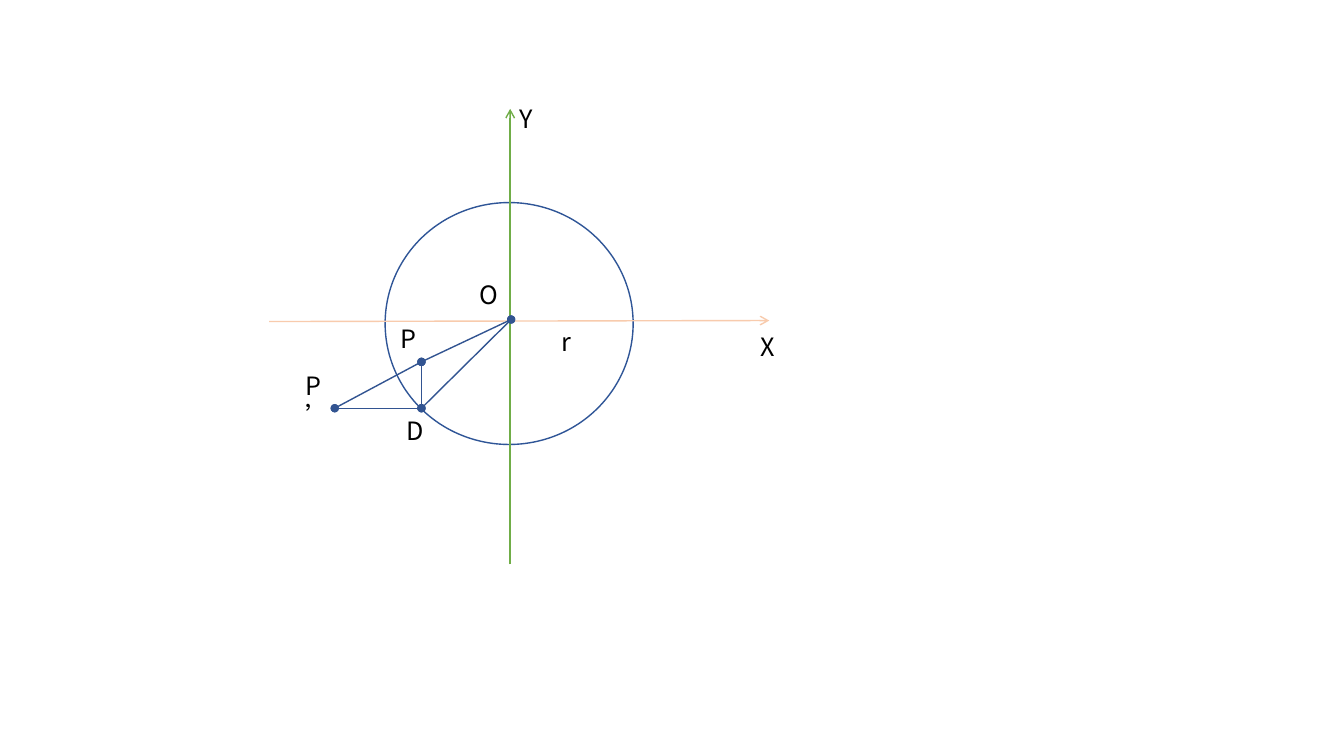
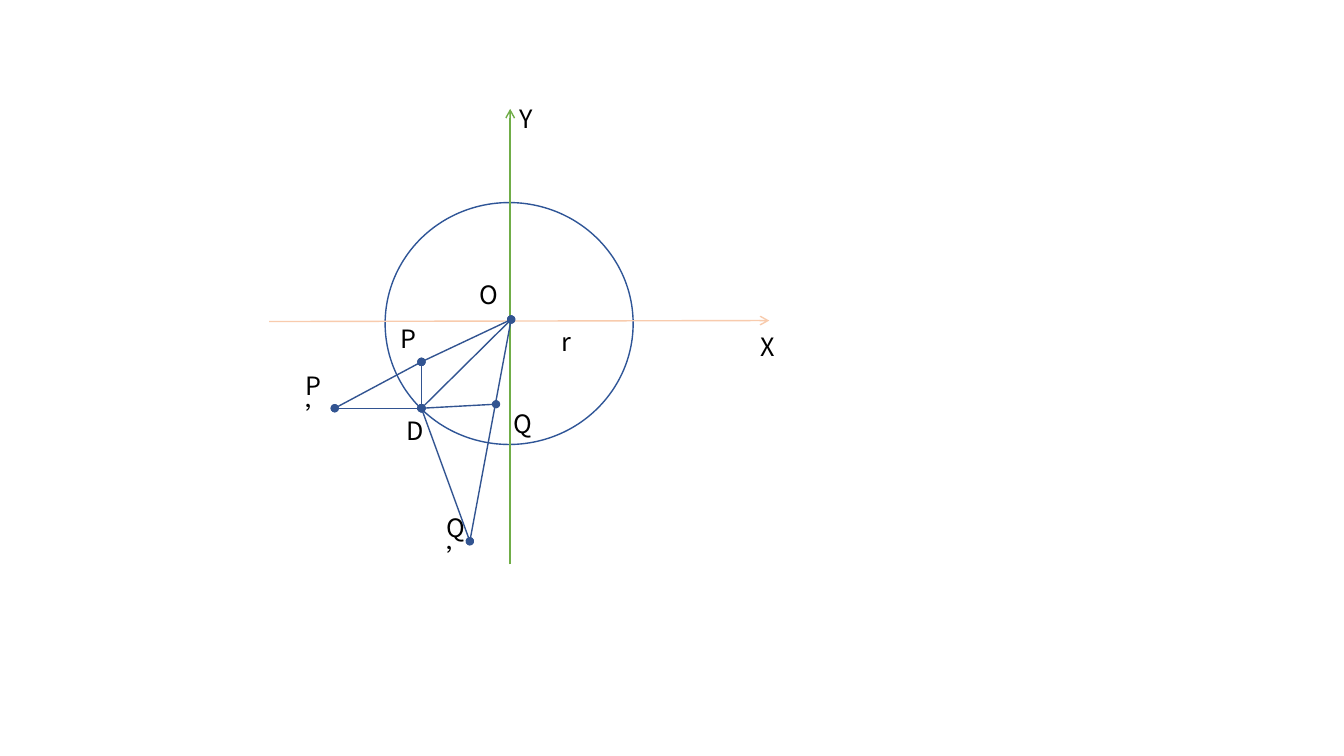
from dataclasses import dataclass

from pptx import Presentation
from pptx.dml.color import RGBColor
from pptx.enum.shapes import MSO_CONNECTOR, MSO_SHAPE
from pptx.enum.text import MSO_AUTO_SIZE
from pptx.oxml.ns import qn
from pptx.util import Pt
from lxml.etree import SubElement


@dataclass(frozen=True)
class Theme:
    font: str = "Noto Sans CJK SC"
    size: int = 18
    line: int = 1
    ink: str = "000000"
    ring: str = "2F5597"
    edge: str = "325491"
    across: str = "F8CBAD"
    up: str = "70AD47"


THEME = Theme()
PX = 9144
WIDE, HIGH = 1333, 750
SMALL, LARGE, TALL = 26, 32, 40

RING = (382, 201, 246, 240)
AXES = [
    ((267, 319), (763, 318), THEME.across),
    ((506, 560), (506, 108), THEME.up),
]
POINTS = {
    "O": (507, 317),
    "P": (418, 359),
    "P’": (332, 405),
    "D": (418, 405),
    "Q": (492, 401),
    "Q’": (466, 537),
}
BASE = {
    "labels": [
        ("O", 466, 272, SMALL),
        ("Y", 505, 98, SMALL),
        ("X", 744, 324, SMALL),
        ("r", 547, 319, SMALL),
        ("D", 393, 407, LARGE),
        ("P’", 293, 362, LARGE),
        ("P", 387, 316, LARGE),
    ],
    "edges": [("O", "P"), ("P", "P’"), ("D", "P’"), ("D", "O"), ("D", "P")],
}
EXTRA = {
    "labels": [("Q", 499, 400, LARGE), ("Q’", 433, 503, LARGE)],
    "edges": [("O", "Q’"), ("D", "Q"), ("D", "Q’")],
}
SLIDES = [[BASE], [BASE, EXTRA]]


def px(*nums):
    return [num * PX for num in nums]


def stroke(line, color):
    line.color.rgb = RGBColor.from_string(color)
    line.width = Pt(THEME.line)


def join(slide, start, end, color, head=None, tail=None):
    link = slide.shapes.add_connector(MSO_CONNECTOR.STRAIGHT, *px(*start, *end))
    stroke(link.line, color)
    props = link._element.spPr
    for tag, kind in (("a:headEnd", head), ("a:tailEnd", tail)):
        if kind:
            SubElement(props.find(qn("a:ln")), qn(tag), type=kind)
    SubElement(props, qn("a:effectLst"))


def write(slide, text, left, top, width, size=THEME.size, color=THEME.ink):
    frame = slide.shapes.add_textbox(*px(left, top, width, TALL)).text_frame
    frame.word_wrap = True
    frame.auto_size = MSO_AUTO_SIZE.SHAPE_TO_FIT_TEXT
    run = frame.paragraphs[0].add_run()
    run.text = text
    run.font.name = THEME.font
    run.font.size = Pt(size)
    run.font.color.rgb = RGBColor.from_string(color)
    SubElement(run.font._element, qn("a:ea"), typeface=THEME.font)


def frame_plane(slide):
    ring = slide.shapes.add_shape(MSO_SHAPE.OVAL, *px(*RING))
    ring.shadow.inherit = False
    ring.fill.background()
    stroke(ring.line, THEME.ring)
    for start, end, color in AXES:
        join(slide, start, end, color, tail="arrow")


def main():
    deck = Presentation()
    deck.slide_width, deck.slide_height = px(WIDE, HIGH)
    for parts in SLIDES:
        slide = deck.slides.add_slide(deck.slide_layouts[6])
        frame_plane(slide)
        for part in parts:
            for label in part["labels"]:
                write(slide, *label)
            for start, end in part["edges"]:
                join(slide, POINTS[start], POINTS[end], THEME.edge, head="oval", tail="oval")
    deck.save("out.pptx")


if __name__ == "__main__":
    main()
